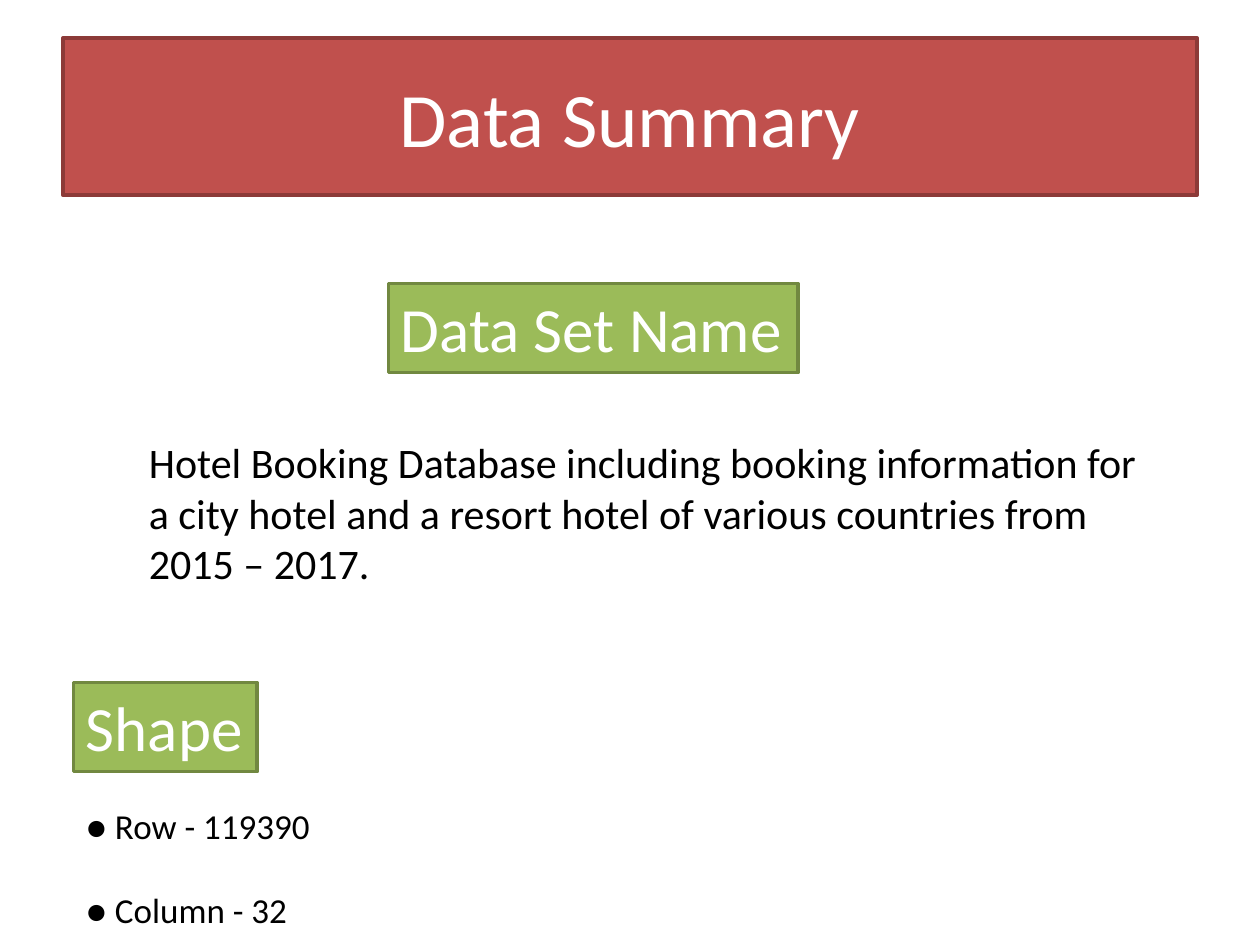
from pptx import Presentation
from pptx.dml.color import RGBColor
from pptx.enum.shapes import MSO_SHAPE
from pptx.enum.text import MSO_ANCHOR, PP_ALIGN
from pptx.util import Inches, Pt

RECTANGLE = MSO_SHAPE.RECTANGLE
TOP, MIDDLE = MSO_ANCHOR.TOP, MSO_ANCHOR.MIDDLE
LEFT, CENTER = PP_ALIGN.LEFT, PP_ALIGN.CENTER

RED = RGBColor(0xC0, 0x50, 0x4D)
DARK_RED = RGBColor(0x8C, 0x3A, 0x38)
GREEN = RGBColor(0x9B, 0xBB, 0x59)
DARK_GREEN = RGBColor(0x71, 0x88, 0x40)
WHITE = RGBColor(0xFF, 0xFF, 0xFF)
BLACK = RGBColor(0x00, 0x00, 0x00)

prs = Presentation()
prs.slide_width, prs.slide_height = Inches(10), Inches(7.5)
slide = prs.slides.add_slide(prs.slide_layouts[6])

# The slide is a grid of 120 columns by 90 rows
COLUMN = prs.slide_width / 120
ROW = prs.slide_height / 90


def on_grid(left, top, width, height):
    return (round(left * COLUMN), round(top * ROW),
            round(width * COLUMN), round(height * ROW))


def write(frame, lines, size, color, align=LEFT, anchor=TOP, gap=0):
    """Fill a text frame, one paragraph a line, with gap points between lines."""
    frame.word_wrap = True
    frame.vertical_anchor = anchor
    for number, line in enumerate(lines):
        paragraph = frame.add_paragraph() if number else frame.paragraphs[0]
        paragraph.alignment = align
        paragraph.space_before = Pt(gap if number else 0)
        run = paragraph.add_run()
        run.text = line
        run.font.name = "Calibri"
        run.font.size = Pt(size)
        run.font.color.rgb = color


# Title and section headings
headings = [
    ("Data Summary", (6, 3.6, 108, 15), RED, DARK_RED, 44, CENTER, MIDDLE),
    ("Data Set Name", (37, 27, 39, 8.5), GREEN, DARK_GREEN, 36, LEFT, TOP),
    ("Shape", (7, 65, 17.5, 8.5), GREEN, DARK_GREEN, 36, LEFT, TOP),
]
for wording, place, fill, border, size, align, anchor in headings:
    heading = slide.shapes.add_shape(RECTANGLE, *on_grid(*place))
    heading.shadow.inherit = False
    heading.fill.solid()
    heading.fill.fore_color.rgb = fill
    heading.line.color.rgb = border
    heading.line.width = Pt(2)
    write(heading.text_frame, [wording], size, WHITE, align, anchor)

# Section contents
description = slide.shapes.add_textbox(*on_grid(13, 41, 98, 15.75))
write(description.text_frame,
      ["Hotel Booking Database including booking information for a city hotel "
       "and a resort hotel of various countries from 2015 – 2017."],
      24, BLACK)

dimensions = slide.shapes.add_textbox(*on_grid(7, 76, 24, 13.3))
write(dimensions.text_frame, ["● Row - 119390", "● Column - 32"],
      20, BLACK, gap=24)

prs.save("out.pptx")
